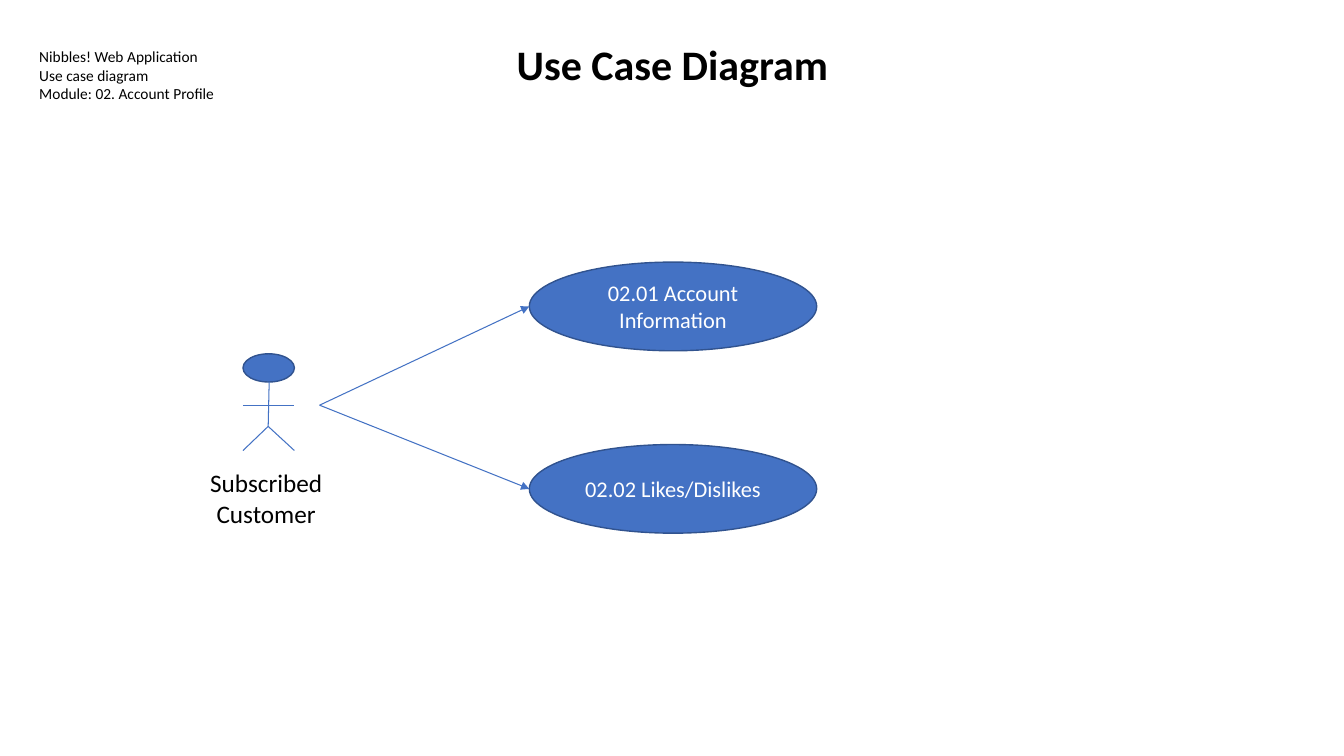
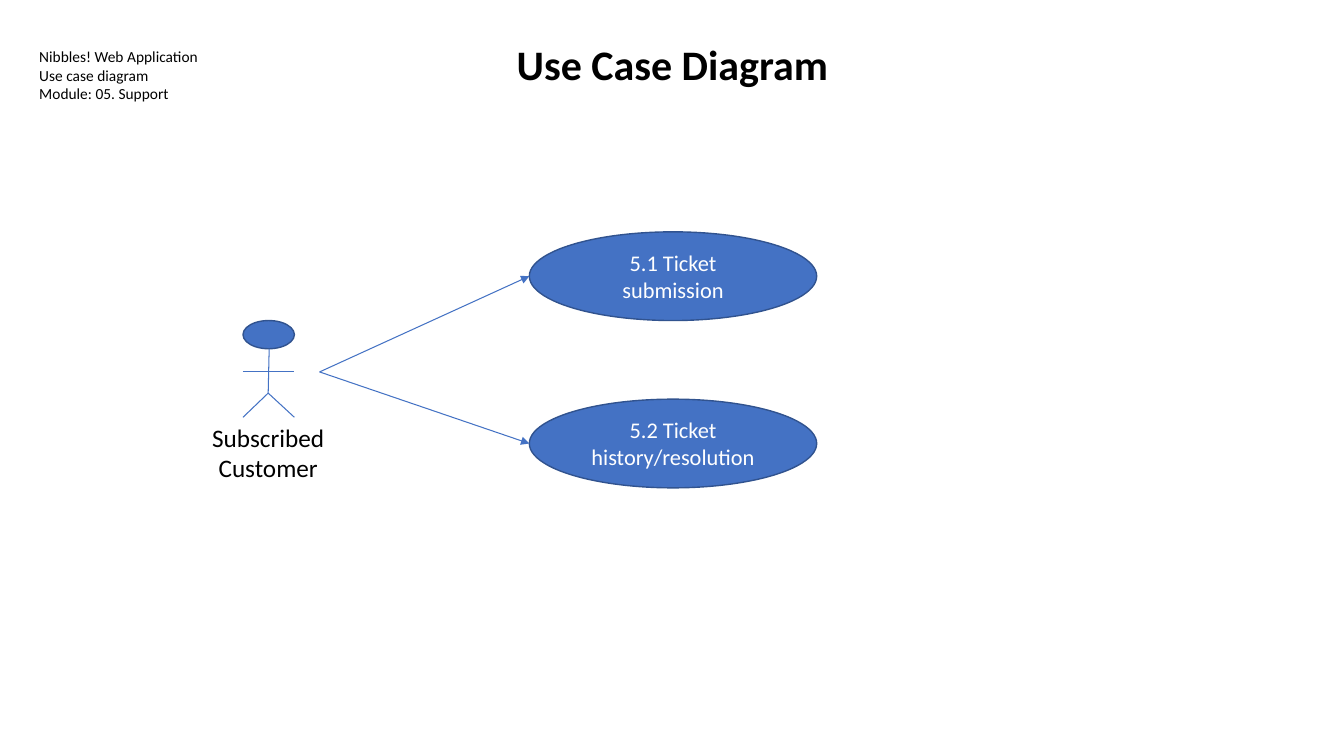
import pptx
import pptx.util
import pptx.dml.color
import pptx.enum.shapes
import pptx.enum.text
import pptx.oxml.ns
import lxml.etree

Inches, Pt = pptx.util.Inches, pptx.util.Pt
ALIGN = pptx.enum.text.PP_ALIGN
ANCHOR = pptx.enum.text.MSO_ANCHOR

# Content
TITLE = "Use Case Diagram"
HEADER = ["Nibbles! Web Application", "Use case diagram"]
ACTOR = ["Subscribed", "Customer"]
SLIDES = [
    {"module": "Module: 02. Account Profile", "header_w": 1.99,
     "actor_top": 3.51, "label": (1.97, 4.59),
     "cases": [("02.01 Account Information", 2.6), ("02.02 Likes/Dislikes", 4.41)]},
    {"module": "Module: 05. Support", "header_w": 2.78,
     "actor_top": 3.18, "label": (1.99, 4.14),
     "cases": [("5.1 Ticket submission", 2.3), ("5.2 Ticket history/resolution", 3.96)]},
]

# Shared style
FONT = "Calibri"
BLUE, OUTLINE, BLACK, WHITE = "4472C4", "31538F", "000000", "FFFFFF"
CASE_LEFT, CASE_W, CASE_H = 5.25, 2.85, 0.88
HEAD_LEFT, HEAD_W, HEAD_H = 2.41, 0.51, 0.28
ARROW_START = 3.17


def rgb(value):
    return pptx.dml.color.RGBColor.from_string(value)


def write(sp, lines, size, color=BLACK, align=ALIGN.CENTER, anchor=ANCHOR.TOP,
          bold=False, inset=0.05):
    tf = sp.text_frame
    tf.text = "\n".join(lines)
    tf.word_wrap = True
    tf.auto_size = pptx.enum.text.MSO_AUTO_SIZE.NONE
    tf.vertical_anchor = anchor
    tf.margin_left = tf.margin_right = Inches(0.1)
    tf.margin_top = tf.margin_bottom = Inches(inset)
    for p in tf.paragraphs:
        p.alignment = align
        for r in p.runs:
            r.font.name, r.font.size, r.font.bold = FONT, Pt(size), bold
            r.font.color.rgb = rgb(color)


def add_text(s, box, lines, size, **style):
    sp = s.shapes.add_textbox(*map(Inches, box))
    write(sp, lines, size, **style)


def add_ellipse(s, *box):
    sp = s.shapes.add_shape(pptx.enum.shapes.MSO_SHAPE.OVAL, *map(Inches, box))
    sp.shadow.inherit = False
    sp.fill.solid()
    sp.fill.fore_color.rgb = rgb(BLUE)
    sp.line.color.rgb = rgb(OUTLINE)
    sp.line.width = Pt(1)
    return sp


def add_line(s, start, end, arrow=False):
    line = s.shapes.add_connector(pptx.enum.shapes.MSO_CONNECTOR.STRAIGHT,
                                  *map(Inches, start + end))
    line.line.color.rgb = rgb(BLUE)
    line.line.width = Pt(0.75)
    qn = pptx.oxml.ns.qn
    if arrow:
        lxml.etree.SubElement(line.line._get_or_add_ln(), qn("a:tailEnd"), type="triangle")
    lxml.etree.SubElement(line._element.spPr, qn("a:effectLst"))


def add_actor(s, top):
    """Draw the stick figure and return the height of its arms."""
    add_ellipse(s, HEAD_LEFT, top, HEAD_W, HEAD_H)
    right, arms, feet = HEAD_LEFT + HEAD_W, top + 0.51, top + 0.96
    neck, hip = (2.67, top + HEAD_H), (2.66, top + 0.72)
    for start, end in [(neck, hip), ((HEAD_LEFT, arms), (right, arms)),
                       (hip, (HEAD_LEFT, feet)), (hip, (right, feet))]:
        add_line(s, start, end)
    return arms


prs = pptx.Presentation()
prs.slide_width, prs.slide_height = Inches(13.33), Inches(7.5)

for data in SLIDES:
    s = prs.slides.add_slide(prs.slide_layouts[5])

    # Title and header
    title = s.shapes.title
    title.left, title.top, title.width, title.height = map(Inches, (4.85, 0.28, 3.64, 0.71))
    write(title, [TITLE], 30, bold=True, inset=0.1)
    add_text(s, (0.29, 0.37, data["header_w"], 0.95), HEADER + [data["module"]], 11,
             align=ALIGN.LEFT, inset=0.1)

    # Actor
    arms = add_actor(s, data["actor_top"])
    add_text(s, data["label"] + (1.34, 0.71), ACTOR, 18)

    # Use cases, each reached by an arrow
    for name, top in data["cases"]:
        sp = add_ellipse(s, CASE_LEFT, top, CASE_W, CASE_H)
        write(sp, [name], 16, color=WHITE, anchor=ANCHOR.MIDDLE)
        add_line(s, (ARROW_START, arms), (CASE_LEFT, top + CASE_H / 2), arrow=True)

prs.save("out.pptx")
